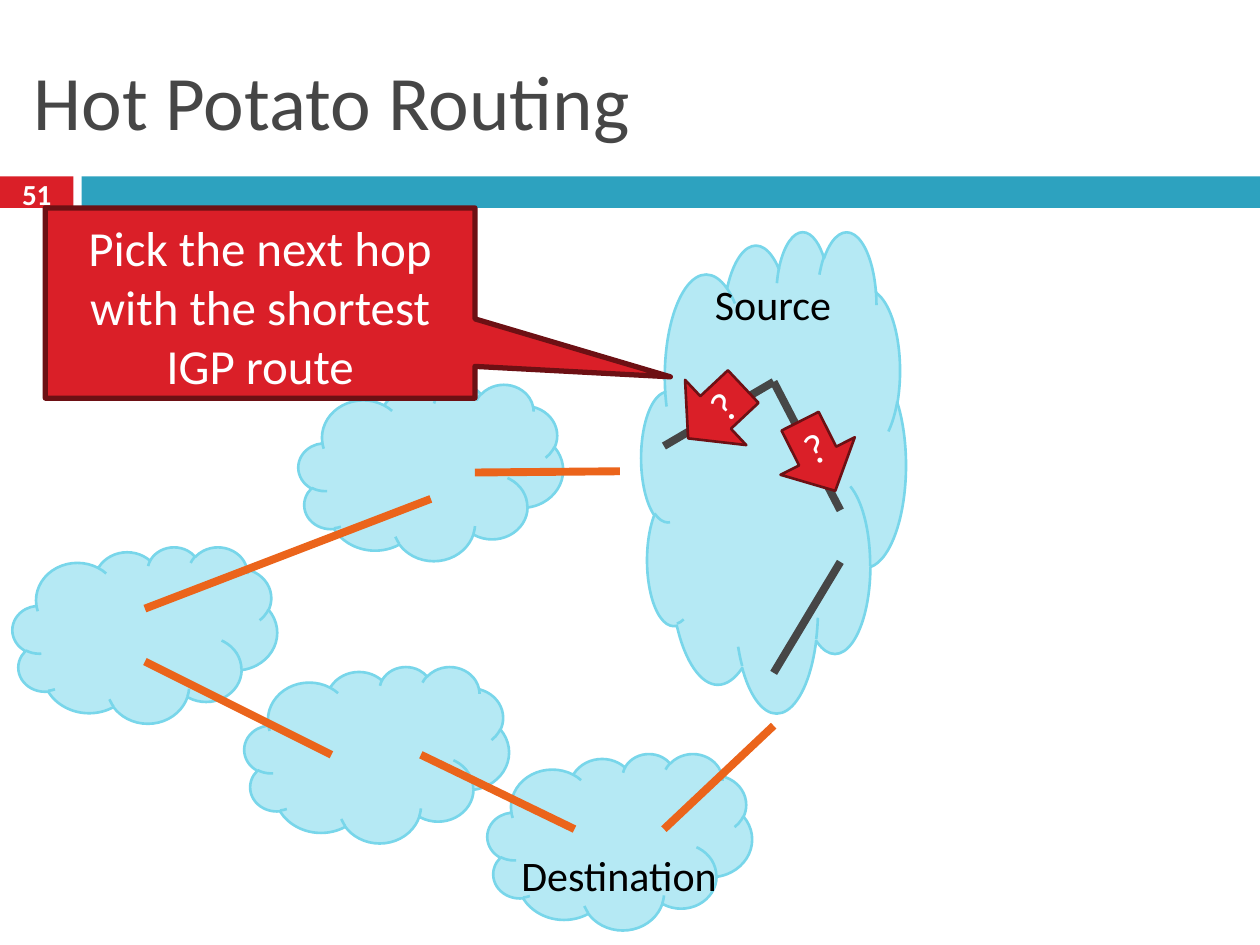
from lxml.etree import SubElement
from pptx import Presentation
from pptx.dml.color import RGBColor
from pptx.enum.shapes import MSO_CONNECTOR, MSO_SHAPE
from pptx.enum.text import MSO_ANCHOR, MSO_AUTO_SIZE, PP_ALIGN
from pptx.oxml.ns import qn
from pptx.util import Pt

RED = RGBColor(0xDA, 0x1F, 0x28)
DARK_RED = RGBColor(0x6D, 0x10, 0x14)
TEAL = RGBColor(0x2D, 0xA2, 0xBF)
PALE_BLUE = RGBColor(0xB5, 0xE9, 0xF4)
SKY_BLUE = RGBColor(0x78, 0xD6, 0xEA)
ORANGE = RGBColor(0xEB, 0x64, 0x1B)
GRAY = RGBColor(0x46, 0x46, 0x46)
BLACK = RGBColor(0, 0, 0)
WHITE = RGBColor(0xFF, 0xFF, 0xFF)


def write(frame, text, size=24, color=BLACK, bold=False, align=PP_ALIGN.CENTER,
          anchor=MSO_ANCHOR.TOP, wrap=True, fit=MSO_AUTO_SIZE.NONE):
    frame.word_wrap = wrap
    frame.auto_size = fit
    frame.vertical_anchor = anchor
    paragraph = frame.paragraphs[0]
    paragraph.alignment = align
    run = paragraph.add_run()
    run.text = text
    run.font.name = "Calibri"
    run.font.size = Pt(size)
    run.font.bold = bold
    run.font.color.rgb = color


class RoutingSlide:
    def __init__(self, deck):
        self.slide = deck.slides.add_slide(deck.slide_layouts[5])
        self.shapes = self.slide.shapes

    def title(self, text, left, top, width, height):
        heading = self.shapes.title
        heading.left, heading.top = Pt(left), Pt(top)
        heading.width, heading.height = Pt(width), Pt(height)
        write(heading.text_frame, text, size=44, color=GRAY,
              align=PP_ALIGN.LEFT, anchor=MSO_ANCHOR.MIDDLE)

    def block(self, kind, left, top, width, height, fill, outline=None,
              weight=1.5, rotation=0, mirrored=False):
        block = self.shapes.add_shape(kind, Pt(left), Pt(top), Pt(width), Pt(height))
        block.shadow.inherit = False
        block.fill.solid()
        block.fill.fore_color.rgb = fill
        if outline is None:
            block.line.fill.background()
        else:
            block.line.color.rgb = outline
            block.line.width = Pt(weight)
        block.rotation = rotation
        if mirrored:
            block.element.spPr.get_or_add_xfrm().set("flipH", "1")
        return block

    def cloud(self, left, top, width=151.2, height=100.8):
        self.block(MSO_SHAPE.CLOUD, left, top, width, height, PALE_BLUE, SKY_BLUE)

    def question_arrow(self, kind, left, top, width, height, rotation, mirrored=False):
        arrow = self.block(kind, left, top, width, height, RED, DARK_RED,
                           rotation=rotation, mirrored=mirrored)
        write(arrow.text_frame, "?", color=WHITE, anchor=MSO_ANCHOR.MIDDLE)

    def callout(self, text, left, top, width, height, tip):
        bubble = self.block(MSO_SHAPE.RECTANGULAR_CALLOUT, left, top, width, height,
                            RED, DARK_RED, weight=3, mirrored=True)
        bubble.adjustments[0], bubble.adjustments[1] = tip
        self.label(text, left + 6.5, top + 2.2, width - 13, height, size=28,
                   color=WHITE, fit=MSO_AUTO_SIZE.SHAPE_TO_FIT_TEXT)

    def label(self, text, left, top, width, height, **style):
        label = self.shapes.add_textbox(Pt(left), Pt(top), Pt(width), Pt(height))
        write(label.text_frame, text, **style)

    def place_name(self, text, left, top, width):
        self.label(text, left, top, width, 36, wrap=False,
                   fit=MSO_AUTO_SIZE.SHAPE_TO_FIT_TEXT)

    def link(self, start, end, color=ORANGE):
        link = self.shapes.add_connector(
            MSO_CONNECTOR.STRAIGHT, *(Pt(value) for value in (*start, *end)))
        link.line.color.rgb = color
        link.line.width = Pt(4.5)
        SubElement(link.element.spPr, qn("a:effectLst"))


def main():
    deck = Presentation()
    deck.slide_width, deck.slide_height = Pt(720), Pt(540)
    page = RoutingSlide(deck)

    page.block(MSO_SHAPE.RECTANGLE, 0, 100.8, 42, 18, RED)
    page.block(MSO_SHAPE.RECTANGLE, 46.6, 100.8, 673.4, 18, TEAL)
    page.title("Hot Potato Routing", 12.2, 18, 696, 78)
    page.label("51", 0, 98.9, 42, 24, size=16.6, color=WHITE, bold=True,
               anchor=MSO_ANCHOR.MIDDLE)

    page.cloud(278.6, 430.6)
    page.place_name("Destination", 285.8, 481.7, 136)
    page.cloud(170.6, 219.6)
    page.cloud(7.2, 312.5)
    page.link((82.8, 347.8), (246.2, 285.1))
    page.cloud(366.5, 131.8, height=275)

    source_router = (442.1, 218.2)
    page.link((354.2, 269.3), (271.4, 270))
    page.link((379.4, 473.8), (442.1, 414.7))
    page.place_name("Source", 396, 155.5, 91.4)
    page.link(source_router, (480.2, 291.6), GRAY)
    page.link((442.1, 384.5), (480.2, 321.1), GRAY)
    page.question_arrow(MSO_SHAPE.DOWN_ARROW, 443.5, 238.3, 47.5, 44.6, 333.2)
    page.link(source_router, (379.4, 254.9), GRAY)
    page.cloud(139.7, 380.9)
    page.link((189.4, 431.3), (82.8, 378))
    page.link((240.5, 431.3), (328.3, 473.8))
    page.question_arrow(MSO_SHAPE.RIGHT_ARROW, 387.4, 210.2, 43.2, 51.1, 316.8,
                        mirrored=True)
    page.callout("Pick the next hop with the shortest IGP route",
                 25.9, 118.8, 245.5, 108.7, tip=(-0.955, 0.388))

    deck.save("out.pptx")


if __name__ == "__main__":
    main()
